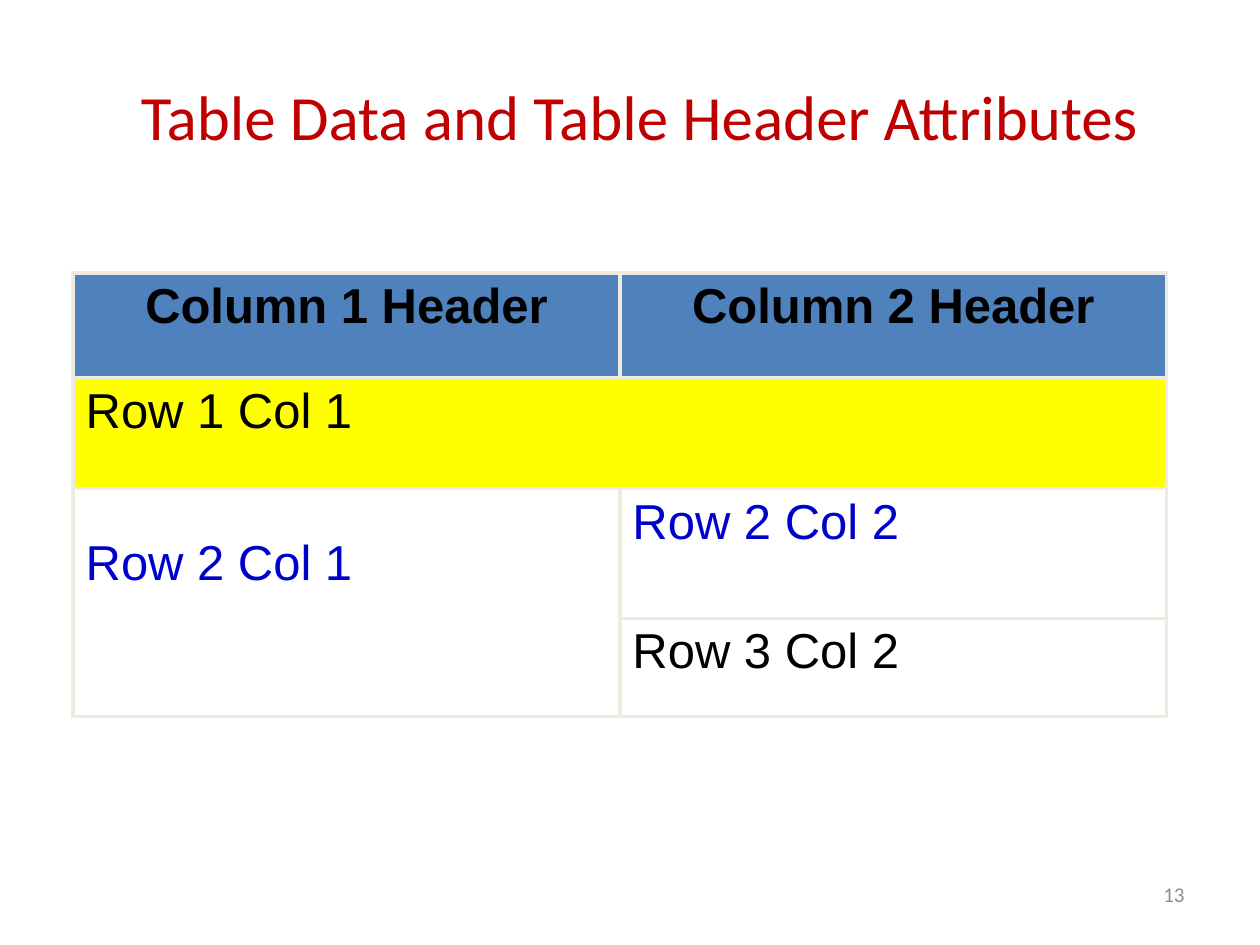
from dataclasses import dataclass
from itertools import product

from lxml.etree import SubElement as Sub
from pptx import Presentation
from pptx.dml.color import RGBColor as Rgb
from pptx.enum.text import MSO_ANCHOR as Anchor, PP_ALIGN as Align
from pptx.oxml.ns import qn
from pptx.util import Inches, Pt


@dataclass(frozen=True)
class Theme:
    head: str = "Calibri"
    body: str = "Arial"
    red: str = "C00000"
    gray: str = "8C8C8C"
    black: str = "000000"
    blue: str = "0000CC"
    steel: str = "4F81BD"
    yellow: str = "FFFF00"
    edge: str = "EEECE1"
    big: int = 36
    mid: int = 28
    small: int = 12
    rule: float = 2.25


@dataclass(frozen=True)
class Box:
    left: float
    top: float
    wide: float
    high: float

    def size(self) -> tuple:
        return (Inches(self.left * WIDE), Inches(self.top * HIGH),
                Inches(self.wide * WIDE), Inches(self.high * HIGH))


@dataclass(frozen=True)
class Item:
    text: str = ""
    color: str = Theme.black
    fill: str = ""
    bold: bool = False
    align: Align = Align.LEFT
    open: str = ""
    drop: float = 0.05


WIDE, HIGH = 10, 7.5
THEME = Theme()
TITLE = Box(0.066, 0.047, 0.883, 0.15)
GRID = Box(0.058, 0.289, 0.868, 0.47)
PAGE = Box(0.717, 0.911, 0.233, 0.07)
ROWS = (0.83, 0.88, 1.03, 0.78)
PLAIN = "{2D5ABB26-0587-4C30-8999-92F81FD0307C}"


def header(text: str) -> Item:
    return Item(text, fill=THEME.steel, bold=True, align=Align.CENTER)


ITEMS = (
    (header("Column 1 Header"), header("Column 2 Header")),
    (Item("Row 1 Col 1", fill=THEME.yellow, open="R"),
     Item(fill=THEME.yellow, open="L")),
    (Item("Row 2 Col 1", THEME.blue, open="B", drop=0.38),
     Item("Row 2 Col 2", THEME.blue)),
    (Item(open="T"), Item("Row 3 Col 2")),
)


def write(frame, text: str, *, font: str, size: int, color: str,
          bold: bool = False, align: Align = Align.LEFT) -> None:
    frame.word_wrap = True
    para = frame.paragraphs[0]
    para.alignment = align
    run = para.add_run()
    run.text = text
    run.font.name = font
    run.font.size = Pt(size)
    run.font.bold = bold
    run.font.color.rgb = Rgb.from_string(color)


def place(shape, box: Box) -> None:
    shape.left, shape.top, shape.width, shape.height = box.size()


def border(cell, gaps: str) -> None:
    props = cell._tc.get_or_add_tcPr()
    for side in "LRTB":
        line = Sub(props, qn(f"a:ln{side}"), w=str(Pt(THEME.rule)))
        if side in gaps:
            Sub(line, qn("a:noFill"))
        else:
            Sub(Sub(line, qn("a:solidFill")), qn("a:srgbClr"), val=THEME.edge)


def draw(cell, item: Item) -> None:
    border(cell, item.open)
    cell.margin_top = Inches(item.drop)
    if item.fill:
        cell.fill.solid()
        cell.fill.fore_color.rgb = Rgb.from_string(item.fill)
    else:
        cell.fill.background()
    if item.text:
        write(cell.text_frame, item.text, font=THEME.body, size=THEME.mid,
              color=item.color, bold=item.bold, align=item.align)


def build_grid(slide) -> None:
    rows, cols = len(ITEMS), len(ITEMS[0])
    table = slide.shapes.add_table(rows, cols, *GRID.size()).table
    table._tbl.tblPr.find(qn("a:tableStyleId")).text = PLAIN
    table.first_row = table.horz_banding = False
    for row, high in zip(table.rows, ROWS):
        row.height = Inches(high)
    for r, c in product(range(rows), range(cols)):
        draw(table.cell(r, c), ITEMS[r][c])


def main() -> None:
    deck = Presentation()
    deck.slide_width, deck.slide_height = Inches(WIDE), Inches(HIGH)
    slide = deck.slides.add_slide(deck.slide_layouts.get_by_name("Title Only"))

    page = slide.shapes.add_textbox(*PAGE.size())
    page.text_frame.vertical_anchor = Anchor.MIDDLE
    write(page.text_frame, "13", font=THEME.head, size=THEME.small,
          color=THEME.gray, align=Align.RIGHT)

    title = slide.shapes.title
    place(title, TITLE)
    title.text_frame.vertical_anchor = Anchor.MIDDLE
    write(title.text_frame, "Table Data and Table Header Attributes",
          font=THEME.head, size=THEME.big, color=THEME.red,
          align=Align.CENTER)

    build_grid(slide)
    deck.save("out.pptx")


if __name__ == "__main__":
    main()
